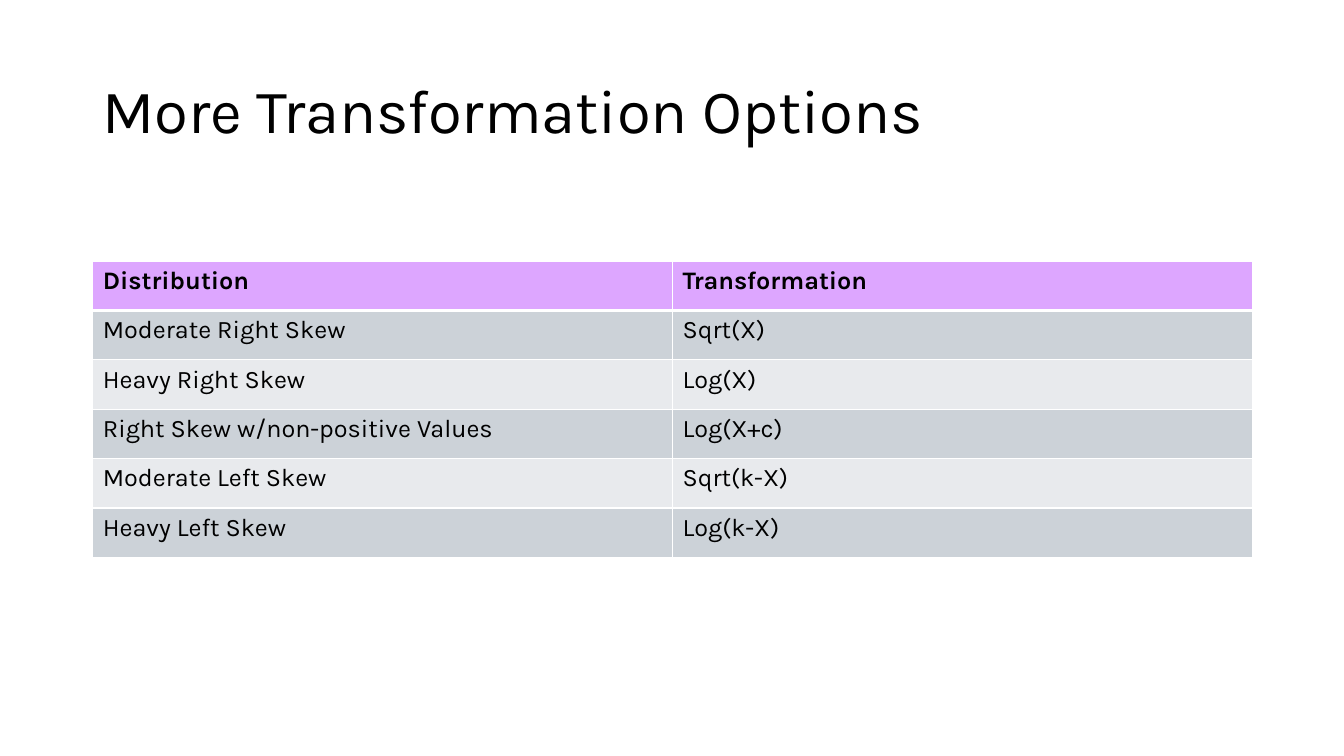
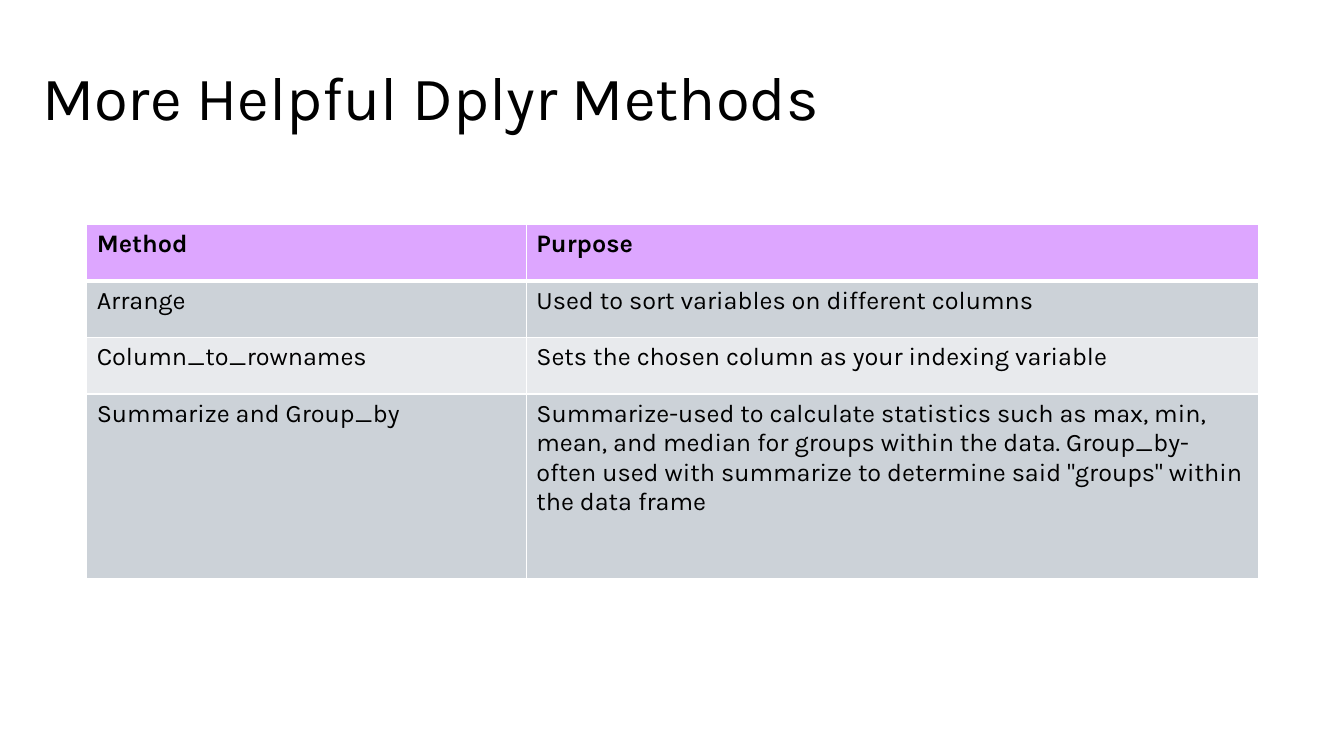
import dataclasses

import lxml.etree
import pptx
import pptx.dml.color
import pptx.enum.text
import pptx.oxml.ns
import pptx.util

Inches = pptx.util.Inches
Pt = pptx.util.Pt


@dataclasses.dataclass(frozen=True)
class Theme:
    font: str = "Karla"
    title_size: int = 44
    table_size: int = 18
    text: str = "000000"
    background: str = "FFFFFF"
    border: str = "FFFFFF"
    header: str = "DDA6FF"
    bands: tuple = ("CCD2D8", "E8EAED")
    thin: int = 1
    thick: int = 3


THEME = Theme()
TITLE_SIZE = (11.5, 1.45)

SLIDES = [
    {
        "title": "More Transformation Options",
        "title_at": (0.92, 0.4),
        "table_at": (0.92, 2.59),
        "columns": [5.75, 5.75],
        "heights": [0.49] * 6,
        "rows": [
            ("Distribution", "Transformation"),
            ("Moderate Right Skew", "Sqrt(X)"),
            ("Heavy Right Skew", "Log(X)"),
            ("Right Skew w/non-positive Values", "Log(X+c)"),
            ("Moderate Left Skew", "Sqrt(k-X)"),
            ("Heavy Left Skew", "Log(k-X)"),
        ],
    },
    {
        "title": "More Helpful Dplyr Methods",
        "title_at": (0.32, 0.27),
        "table_at": (0.86, 2.23),
        "columns": [4.36, 7.26],
        "heights": [0.56, 0.56, 0.56, 1.83],
        "rows": [
            ("Method", "Purpose"),
            ("Arrange", "Used to sort variables on different columns"),
            ("Column_to_rownames", "Sets the chosen column as your indexing variable"),
            (
                "Summarize and Group_by",
                "Summarize-used to calculate statistics such as max, min, mean, "
                "and median for groups within the data. Group_by-often used with "
                'summarize to determine said "groups" within the data frame',
            ),
        ],
    },
]


def color(value):
    return pptx.dml.color.RGBColor.from_string(value)


def add_run(paragraph, text, size, bold=False):
    run = paragraph.add_run()
    run.text = text
    run.font.name = THEME.font
    run.font.size = Pt(size)
    run.font.bold = bold
    run.font.color.rgb = color(THEME.text)


def add_title(slide, text, position):
    left, top, width, height = map(Inches, position + TITLE_SIZE)
    frame = slide.shapes.add_textbox(left, top, width, height).text_frame
    frame.word_wrap = True
    frame.vertical_anchor = pptx.enum.text.MSO_ANCHOR.MIDDLE
    paragraph = frame.paragraphs[0]
    paragraph.line_spacing = 0.9
    add_run(paragraph, text, THEME.title_size)


def set_borders(cell, row_index):
    widths = {"L": THEME.thin, "R": THEME.thin, "T": THEME.thin, "B": THEME.thin}
    if row_index == 0:
        widths["B"] = THEME.thick
    elif row_index == 1:
        widths["T"] = THEME.thick
    qn = pptx.oxml.ns.qn
    properties = cell._tc.get_or_add_tcPr()
    for side, width in widths.items():
        line = lxml.etree.SubElement(properties, qn(f"a:ln{side}"), w=str(Pt(width)))
        fill = lxml.etree.SubElement(line, qn("a:solidFill"))
        lxml.etree.SubElement(fill, qn("a:srgbClr"), val=THEME.border)


def add_table(slide, content):
    columns, heights, rows = content["columns"], content["heights"], content["rows"]
    left, top = map(Inches, content["table_at"])
    table = slide.shapes.add_table(
        len(rows), len(columns), left, top, Inches(sum(columns)), Inches(sum(heights))
    ).table
    for column, width in zip(table.columns, columns):
        column.width = Inches(width)
    for row_index, (row, height, texts) in enumerate(zip(table.rows, heights, rows)):
        row.height = Inches(height)
        is_header = row_index == 0
        fill = THEME.header if is_header else THEME.bands[(row_index - 1) % 2]
        for cell, text in zip(row.cells, texts):
            set_borders(cell, row_index)
            cell.fill.solid()
            cell.fill.fore_color.rgb = color(fill)
            add_run(cell.text_frame.paragraphs[0], text, THEME.table_size, is_header)


def main():
    presentation = pptx.Presentation()
    presentation.slide_width = Inches(13.33)
    presentation.slide_height = Inches(7.5)
    background = presentation.slide_master.background.fill
    background.solid()
    background.fore_color.rgb = color(THEME.background)
    for content in SLIDES:
        slide = presentation.slides.add_slide(presentation.slide_layouts[6])
        add_title(slide, content["title"], content["title_at"])
        add_table(slide, content)
    presentation.save("out.pptx")


if __name__ == "__main__":
    main()
